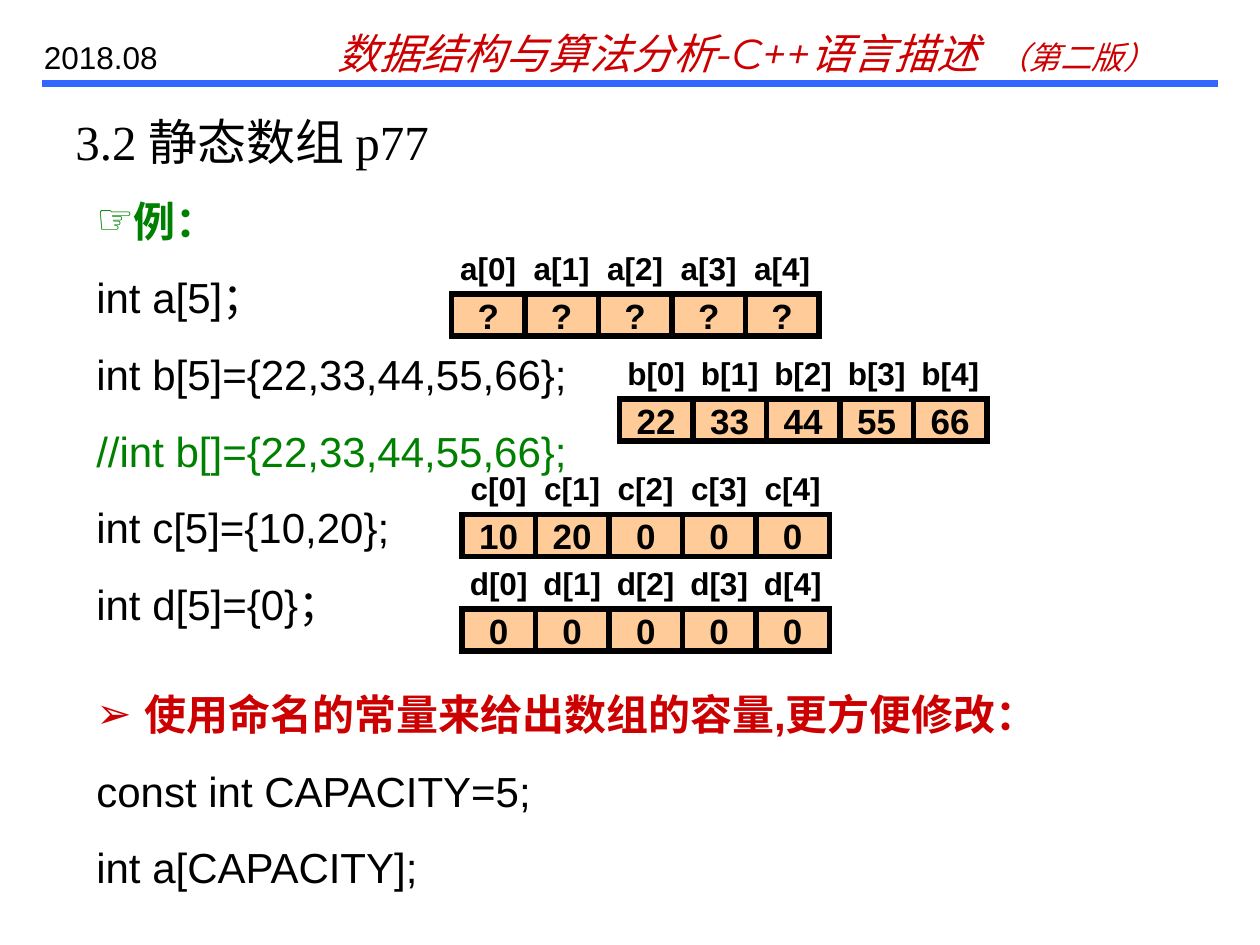
from lxml import etree
from pptx import Presentation
from pptx.dml.color import RGBColor
from pptx.enum.shapes import MSO_CONNECTOR, MSO_SHAPE
from pptx.enum.text import MSO_ANCHOR, MSO_AUTO_SIZE, PP_ALIGN
from pptx.oxml.ns import qn
from pptx.util import Inches, Pt

STRAIGHT, RECTANGLE = MSO_CONNECTOR.STRAIGHT, MSO_SHAPE.RECTANGLE
MIDDLE, CENTER = MSO_ANCHOR.MIDDLE, PP_ALIGN.CENTER
GROW = MSO_AUTO_SIZE.SHAPE_TO_FIT_TEXT

BLACK = RGBColor(0x00, 0x00, 0x00)
BLUE = RGBColor(0x33, 0x66, 0xFF)
RED = RGBColor(0xCC, 0x00, 0x00)
GREEN = RGBColor(0x00, 0x80, 0x00)
PEACH = RGBColor(0xFF, 0xCC, 0x99)

deck = Presentation()
deck.slide_width, deck.slide_height = Inches(10), Inches(7.5)
page = deck.slides.add_slide(deck.slide_layouts[6])
UNIT = deck.slide_width // 120  # grid of 120 columns by 90 rows


def add_span(para, text, size, color=BLACK, font="Arial", bold=False, italic=False):
    span = para.add_run()
    span.text = text
    span.font.size, span.font.name = Pt(size), font
    span.font.bold, span.font.italic = bold, italic
    span.font.color.rgb = color


def add_text(column, row, columns, rows, lines, before=0, hang=0):
    """Each line is (bullet, color, spans); a span is (text, size, options)."""
    box = page.shapes.add_textbox(
        *[int(n * UNIT) for n in (column, row, columns, rows)])
    frame = box.text_frame
    frame.word_wrap = True
    frame.auto_size = GROW
    for index, (bullet, color, spans) in enumerate(lines):
        para = frame.paragraphs[0] if index == 0 else frame.add_paragraph()
        para.space_before = Pt(before)
        properties = para._p.get_or_add_pPr()
        properties.set("marL", str(Inches(hang)))
        properties.set("indent", str(-Inches(hang)))
        if bullet:
            bullet_color = etree.SubElement(properties, qn("a:buClr"))
            etree.SubElement(bullet_color, qn("a:srgbClr"), val=str(color))
            etree.SubElement(properties, qn("a:buFont"), typeface="Arial")
            etree.SubElement(properties, qn("a:buChar"), char=bullet)
        for text, size, options in spans:
            add_span(para, text, size, color, **options)


# Header rule, title and date
rule = page.shapes.add_connector(STRAIGHT, 4 * UNIT, 8 * UNIT, 116 * UNIT, 8 * UNIT)
rule.line.color.rgb = BLUE
rule.line.width = Pt(4)
etree.SubElement(rule._element.spPr, qn("a:effectLst"))

book = {"font": "Montserrat", "italic": True}
add_text(31, 2, 84, 6, [(None, RED, [
    ("数据结构与算法分析-C++语言描述  ", 24, book), ("（第二版）", 18, book)])])
add_text(3, 3, 17, 4.8, [(None, BLACK, [("2018.08", 18, {})])], before=11.2)

# Section heading
add_text(6, 10, 108, 7, [(None, BLACK, [
    ("3.2 静态数组 p77", 28, {"font": "Times New Roman"})])], before=7, hang=0.67)

# Declarations
bold = {"bold": True}
add_text(8, 18, 49, 42.5, [
    ("☞", GREEN, [("例：", 24, bold)]),
    (None, BLACK, [("int a[5]；", 24, {})]),
    (None, BLACK, [("int b[5]={22,33,44,55,66};", 24, {})]),
    (None, GREEN, [("//int b[]={22,33,44,55,66};", 24, {})]),
    (None, BLACK, [("int c[5]={10,20};", 24, {})]),
    (None, BLACK, [("int d[5]={0}；", 24, {})]),
], before=15)

# Array diagrams: index labels above a row of memory cells
CELL_COLUMNS, CELL_ROWS, LABEL_SIDE = 7, 4, 5
ARRAYS = [
    ("d", 44, 58, ["0"] * 5),
    ("a", 43, 28, ["?"] * 5),
    ("b", 59, 38, ["22", "33", "44", "55", "66"]),
    ("c", 44, 49, ["10", "20", "0", "0", "0"]),
]
for name, column, row, values in ARRAYS:
    array = page.shapes.add_group_shape()
    for index, value in enumerate(values):
        left = column + index * CELL_COLUMNS
        label = array.shapes.add_shape(
            RECTANGLE, (left + 1) * UNIT, (row - LABEL_SIDE) * UNIT,
            LABEL_SIDE * UNIT, LABEL_SIDE * UNIT)
        label.fill.background()
        label.line.fill.background()
        cell = array.shapes.add_shape(
            RECTANGLE, left * UNIT, row * UNIT, CELL_COLUMNS * UNIT, CELL_ROWS * UNIT)
        cell.fill.solid()
        cell.fill.fore_color.rgb = PEACH
        cell.line.color.rgb = BLACK
        cell.line.width = Pt(3)
        etree.SubElement(cell.line._get_or_add_ln(), qn("a:miter"), lim="800000")
        for box, text, size in ((label, f"{name}[{index}]", 18), (cell, value, 20)):
            box.shadow.inherit = False
            frame = box.text_frame
            frame.word_wrap = False
            frame.vertical_anchor = MIDDLE
            para = frame.paragraphs[0]
            para.alignment = CENTER
            add_span(para, text, size, bold=True)

# Advice on named constants
add_text(8, 65, 107, 20.6, [
    ("➢", RED, [("使用命名的常量来给出数组的容量,更方便修改：", 24, bold)]),
    (None, BLACK, [("const int CAPACITY=5;", 24, {})]),
    (None, BLACK, [("int a[CAPACITY];", 24, {})]),
], before=15, hang=0.38)

deck.save("out.pptx")
